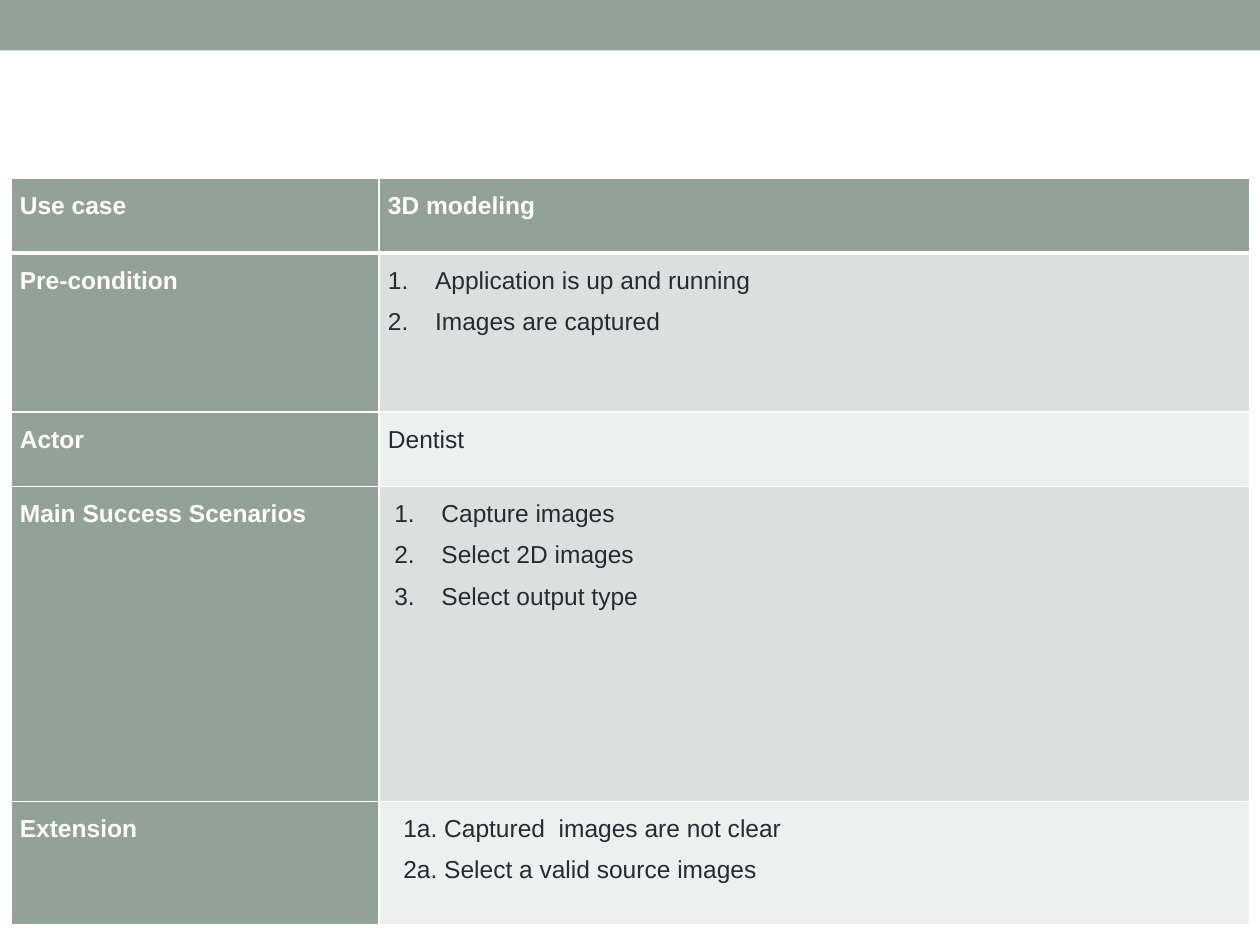
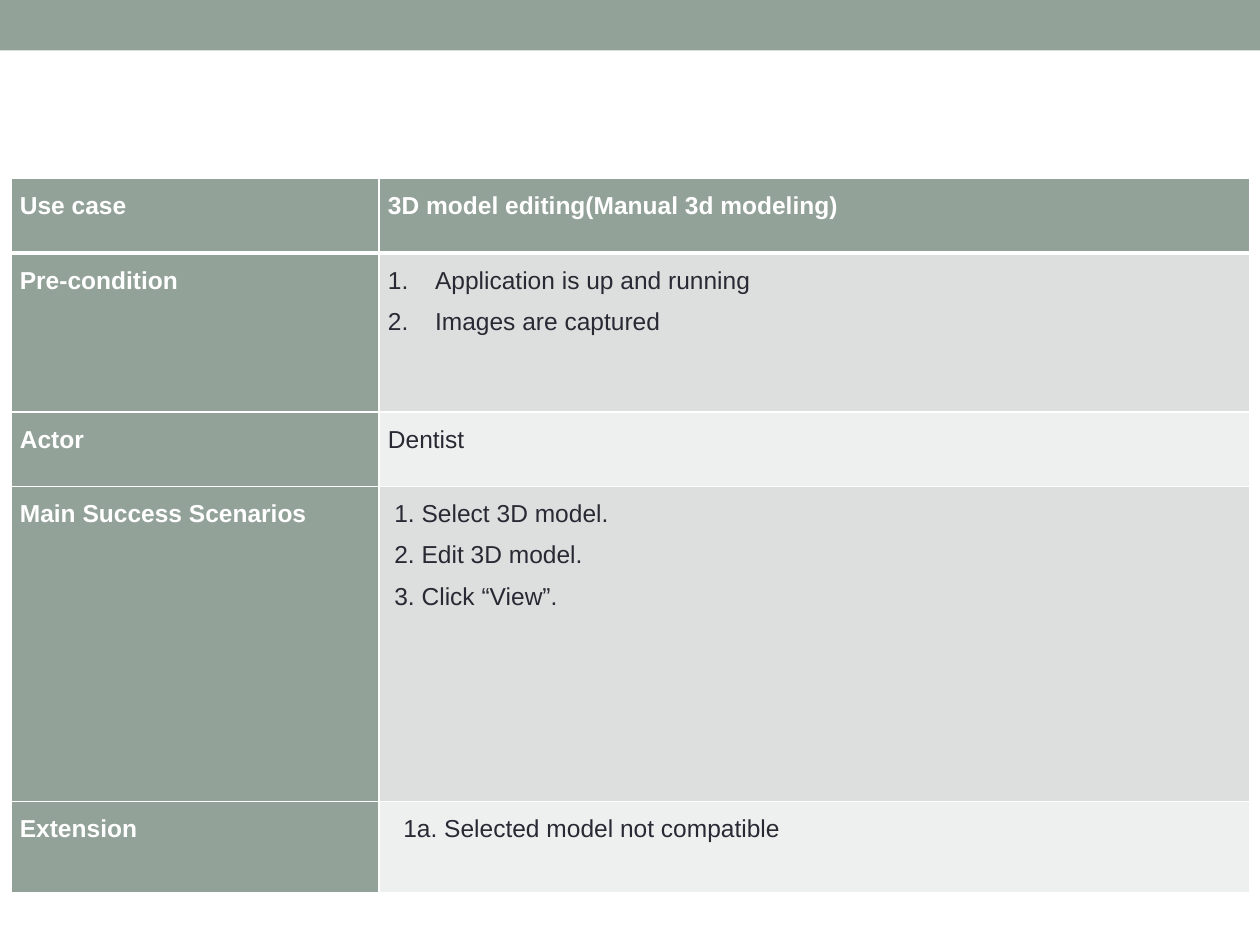
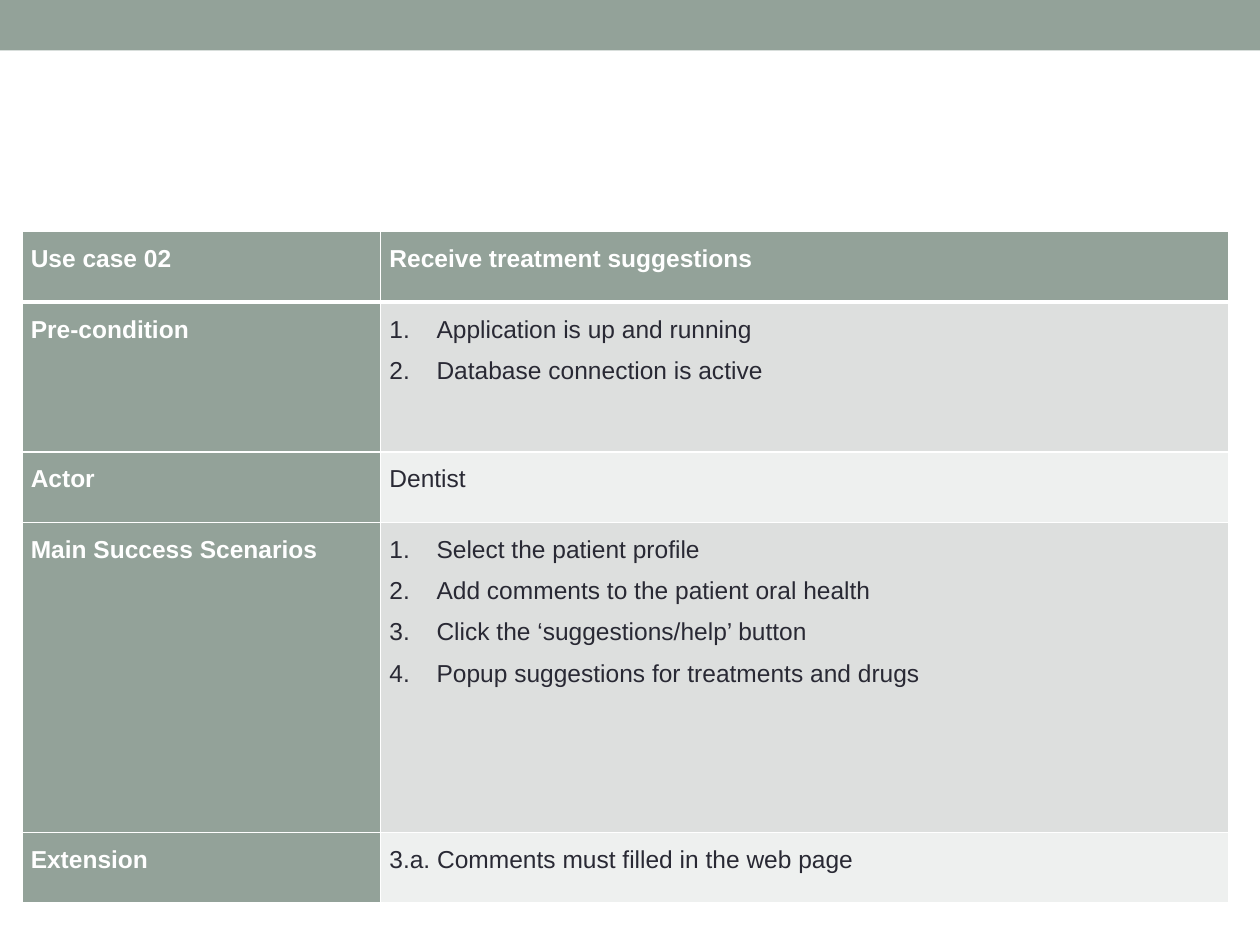
"""Build three use case slides, each a table under a shared band."""
from lxml import etree
from pptx import Presentation
from pptx.dml.color import RGBColor
from pptx.enum.shapes import MSO_SHAPE
from pptx.oxml.ns import qn
from pptx.util import Cm, Pt

RECT = MSO_SHAPE.RECTANGLE
HUES = {"sage": "93A299", "dark": "DDDFDE", "pale": "EEF0EF",
        "ink": "292934", "white": "FFFFFF"}
FONT = {"name": "Arial", "size": Pt(14)}
EDGE = {"margin_top": 0, "margin_bottom": 0}
# Each form gives side margin, left indent and first-line shift in cm.
FORMS = {
    "plain": (0.18, 0, 0),
    "list": (0.18, 0.95, -0.95),
    "inset": (0.31, 0, 0),
    "inset list": (0.31, 0.95, -0.95),
    "note": (0.31, 0.18, 0),
}
LABELS = ["Use case", "Pre-condition", "Actor", "Main Success Scenarios", "Extension"]
WIDE = {"left": 0.22, "top": 3.6, "cols": [7.42, 17.55]}
SLIM = {"left": 0.44, "top": 4.67, "cols": [7.23, 17.09]}
START = ("list", ["Application is up and running", "Images are captured"])
ACTOR = ("plain", ["Dentist"])

CASES = [
    {**WIDE, "rows": [1.5, 3.21, 1.5, 6.35, 2.49], "labels": LABELS, "body": [
        ("plain", ["3D modeling"]),
        START,
        ACTOR,
        ("inset list", ["Capture images", "Select 2D images", "Select output type"]),
        ("note", ["1a. Captured  images are not clear",
                  "2a. Select a valid source images"]),
    ]},
    {**WIDE, "rows": [1.5, 3.21, 1.5, 6.35, 1.83], "labels": LABELS, "body": [
        ("plain", ["3D model editing(Manual 3d modeling)"]),
        START,
        ACTOR,
        ("inset", ["1. Select 3D model.", "2. Edit 3D model.", "3. Click “View”."]),
        ("note", ["1a. Selected model not compatible"]),
    ]},
    {**SLIM, "rows": [1.42, 3.02, 1.42, 6.25, 1.42],
     "labels": ["Use case 02"] + LABELS[1:], "body": [
        ("plain", ["Receive treatment suggestions"]),
        ("list", ["Application is up and running", "Database connection is active"]),
        ACTOR,
        ("list", ["Select the patient profile",
                  "Add comments to the patient oral health",
                  "Click the ‘suggestions/help’ button",
                  "Popup suggestions for treatments and drugs"]),
        ("plain", ["3.a. Comments must filled in the web page"]),
    ]},
]


def style(item, values):
    for key, value in values.items():
        setattr(item, key, value)


def write(cell, form, lines, fill, ink, bold, rules):
    side, left, shift = FORMS[form]
    style(cell, {**EDGE, "margin_left": Cm(side), "margin_right": Cm(side)})
    for tag, width in rules.items():
        rule = etree.SubElement(cell._tc.get_or_add_tcPr(), qn(tag), w=str(Pt(width)))
        paint = etree.SubElement(rule, qn("a:solidFill"))
        etree.SubElement(paint, qn("a:srgbClr"), val=HUES["white"])
    cell.fill.solid()
    cell.fill.fore_color.rgb = RGBColor.from_string(HUES[fill])
    frame = cell.text_frame
    for i, line in enumerate(lines):
        para = frame.add_paragraph() if i else frame.paragraphs[0]
        para.line_spacing = 1.5
        props = para._p.get_or_add_pPr()
        props.set("marL", str(Cm(left)))
        props.set("indent", str(Cm(shift)))
        if form.endswith("list"):
            etree.SubElement(props, qn("a:buAutoNum"), type="arabicPeriod")
        run = para.add_run()
        run.text = line
        style(run.font, {**FONT, "bold": bold})
        run.font.color.rgb = RGBColor.from_string(HUES[ink])


deck = Presentation()
style(deck, {"slide_width": Cm(25.4), "slide_height": Cm(19.05)})

for case in CASES:
    page = deck.slides.add_slide(deck.slide_layouts[6])
    band = page.shapes.add_shape(RECT, 0, 0, deck.slide_width, Cm(1.02))
    band.shadow.inherit = False
    band.fill.solid()
    band.fill.fore_color.rgb = RGBColor.from_string(HUES["sage"])
    band.line.fill.background()

    cols, rows = case["cols"], case["rows"]
    grid = page.shapes.add_table(len(rows), len(cols), Cm(case["left"]), Cm(case["top"]),
                                 Cm(sum(cols)), Cm(sum(rows))).table
    style(grid, {"first_row": True, "first_col": True})
    for col, width in zip(grid.columns, cols):
        col.width = Cm(width)
    for n, (label, (form, lines)) in enumerate(zip(case["labels"], case["body"])):
        grid.rows[n].height = Cm(rows[n])
        rules = {"a:lnL": 1, "a:lnR": 1, "a:lnT": 3 if n == 1 else 1,
                 "a:lnB": 1 if n else 3}
        head = ("sage", "white", True)
        look = ("dark" if n % 2 else "pale", "ink", False) if n else head
        write(grid.cell(n, 0), "plain", [label], *head, rules)
        write(grid.cell(n, 1), form, lines, *look, rules)

deck.save("out.pptx")
